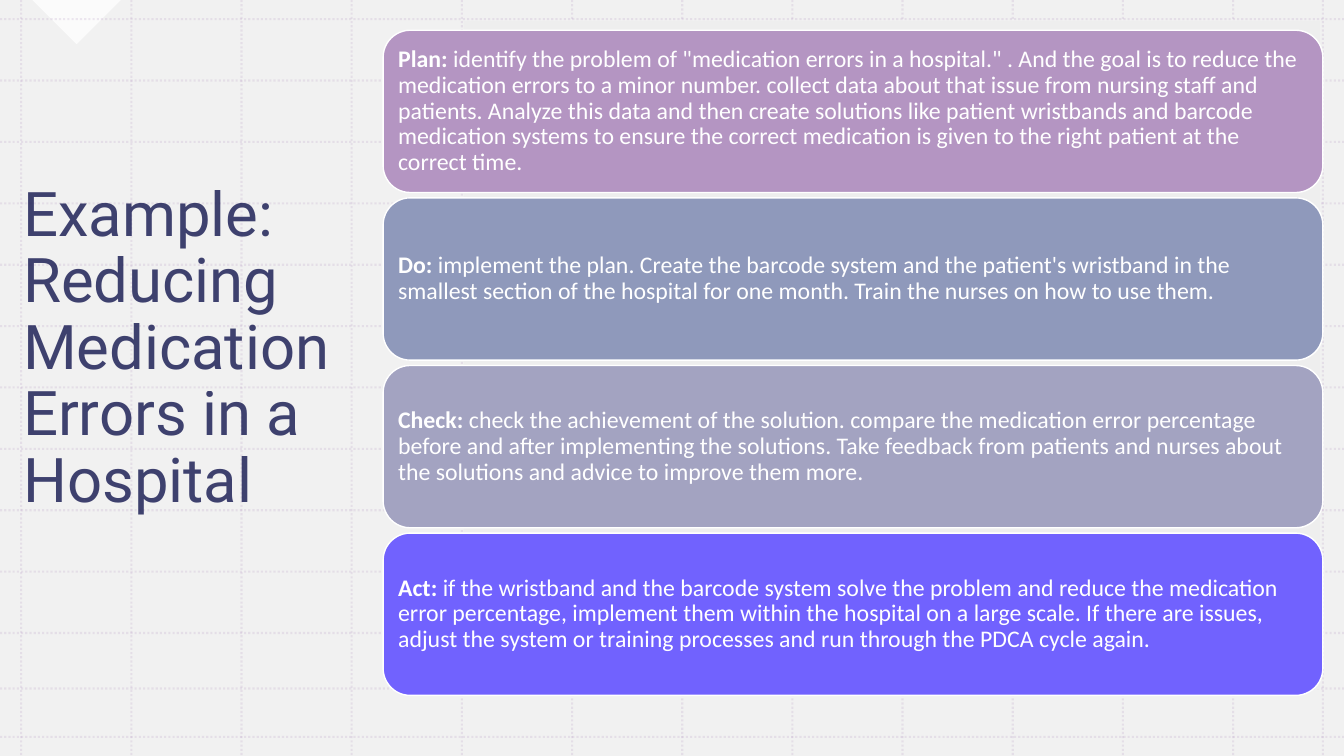
from lxml import etree
from pptx import Presentation
from pptx.dml.color import RGBColor
from pptx.enum import dml, shapes, text
from pptx.oxml import ns
from pptx.util import Inches, Pt

WHITE = RGBColor(0xFF, 0xFF, 0xFF)
PAPER = RGBColor(0xEE, 0xEE, 0xEE)
NAVY = RGBColor(0x12, 0x15, 0x4E)
MAUVE = RGBColor(0xB4, 0x95, 0xC2)
STEEL = RGBColor(0x8F, 0x99, 0xBB)
LAVENDER = RGBColor(0xA3, 0xA3, 0xC1)
VIOLET = RGBColor(0x71, 0x62, 0xFE)

WIDTH, HEIGHT = 13.33, 7.5
COLUMNS = [0.21 + index * 12.02 / 11 for index in range(12)] + [13.12]
ROWS = [0.19 + index * 6.09 / 10 for index in range(11)] + [6.83, 7.31]
STEP_TOP, STEP_PITCH, STEP_HEIGHT = 0.3, 1.663, 1.61

TITLE = "Example: Reducing Medication Errors in a Hospital"
STEPS = [
    ("Plan: ", MAUVE,
     "identify the problem of \"medication errors in a hospital.\" . And the goal is to "
     "reduce the medication errors to a minor number. collect data about that issue from "
     "nursing staff and patients. Analyze this data and then create solutions like patient "
     "wristbands and barcode medication systems to ensure the correct medication is given "
     "to the right patient at the correct time."),
    ("Do: ", STEEL,
     "implement the plan. Create the barcode system and the patient's wristband in the "
     "smallest section of the hospital for one month. Train the nurses on how to use them."),
    ("Check: ", LAVENDER,
     "check the achievement of the solution. compare the medication error percentage before "
     "and after implementing the solutions. Take feedback from patients and nurses about "
     "the solutions and advice to improve them more."),
    ("Act: ", VIOLET,
     "if the wristband and the barcode system solve the problem and reduce the medication "
     "error percentage, implement them within the hospital on a large scale. If there are "
     "issues, adjust the system or training processes and run through the PDCA cycle again."),
]


def set_opacity(color_parent, percent):
    """Make the solid colour inside an element partly transparent."""
    color = next(color_parent.iter(ns.qn("a:srgbClr")))
    etree.SubElement(color, ns.qn("a:alpha"), val=str(percent * 1000))


def add_run(paragraph, content, *, font, size, color, bold=False, opacity=100):
    """Append a formatted run to a paragraph."""
    run = paragraph.add_run()
    run.text = content
    run.font.name, run.font.size, run.font.bold = font, Pt(size), bold
    run.font.color.rgb = color
    if opacity < 100:
        set_opacity(run.font._element, opacity)


def prepare_frame(shape, inset_x, inset_y):
    """Set up a wrapped, left-aligned, middle-anchored frame and return its paragraph."""
    frame = shape.text_frame
    frame.word_wrap = True
    frame.auto_size = text.MSO_AUTO_SIZE.NONE
    frame.vertical_anchor = text.MSO_ANCHOR.MIDDLE
    frame.margin_left = frame.margin_right = Inches(inset_x)
    frame.margin_top = frame.margin_bottom = Inches(inset_y)
    paragraph = frame.paragraphs[0]
    paragraph.alignment = text.PP_ALIGN.LEFT
    paragraph.line_spacing = 0.9
    return paragraph


def add_block(slide, kind, left, top, width, height, fill, opacity=100):
    """Add a filled preset shape without outline or shadow."""
    shape = slide.shapes.add_shape(
        kind, Inches(left), Inches(top), Inches(width), Inches(height))
    shape.shadow.inherit = False
    shape.fill.solid()
    shape.fill.fore_color.rgb = fill
    shape.line.fill.background()
    if opacity < 100:
        set_opacity(shape._element.spPr, opacity)
    return shape


def add_grid_line(slide, x1, y1, x2, y2):
    """Add one faint dotted line of the background grid."""
    line = slide.shapes.add_connector(
        shapes.MSO_CONNECTOR.STRAIGHT, Inches(x1), Inches(y1), Inches(x2), Inches(y2))
    line.line.color.rgb = MAUVE
    line.line.width = Pt(1.5)
    line.line.dash_style = dml.MSO_LINE.ROUND_DOT
    properties = line._element.spPr
    set_opacity(properties, 20)
    etree.SubElement(properties, ns.qn("a:effectLst"))


def add_background(slide):
    """Add the paper tint, the corner triangle and the dotted grid."""
    preset = shapes.MSO_SHAPE
    add_block(slide, preset.RECTANGLE, 0, 0, WIDTH, HEIGHT, PAPER, 80)
    corner = add_block(slide, preset.RIGHT_TRIANGLE, 0.45, -0.31, 0.62, 0.62, WHITE, 75)
    corner.rotation = 315
    for x in COLUMNS:
        add_grid_line(slide, x, 0, x, HEIGHT)
    for y in ROWS:
        add_grid_line(slide, 0, y, WIDTH, y)


def place_title(slide):
    """Format the title placeholder and raise it above the background."""
    title = slide.shapes.title
    title.left, title.top = Inches(0.13), Inches(0.44)
    title.width, title.height = Inches(4.07), Inches(6.05)
    paragraph = prepare_frame(title, 0.1, 0.05)
    add_run(paragraph, TITLE, font="Roboto", size=44, color=NAVY, opacity=80)
    slide.shapes._spTree.append(title._element)


def add_step(slide, top, label, fill, description):
    """Add one rounded bar of the cycle with its bold label."""
    bar = add_block(slide, shapes.MSO_SHAPE.ROUNDED_RECTANGLE,
                    3.8, top, 9.32, STEP_HEIGHT, fill)
    bar.line.color.rgb = WHITE
    bar.line.width = Pt(1)
    paragraph = prepare_frame(bar, 0.07, 0.07)
    add_run(paragraph, label, font="Calibri", size=17, color=WHITE, bold=True)
    add_run(paragraph, description, font="Calibri", size=17, color=WHITE)


def main():
    """Build the slide and save it."""
    presentation = Presentation()
    presentation.slide_width, presentation.slide_height = Inches(WIDTH), Inches(HEIGHT)
    slide = presentation.slides.add_slide(presentation.slide_layouts[5])
    add_background(slide)
    place_title(slide)
    add_block(slide, shapes.MSO_SHAPE.RECTANGLE, 4.6, 0.21, 8.49, 6.63, PAPER)
    for index, (label, fill, description) in enumerate(STEPS):
        add_step(slide, STEP_TOP + index * STEP_PITCH, label, fill, description)
    presentation.save("out.pptx")


if __name__ == "__main__":
    main()
